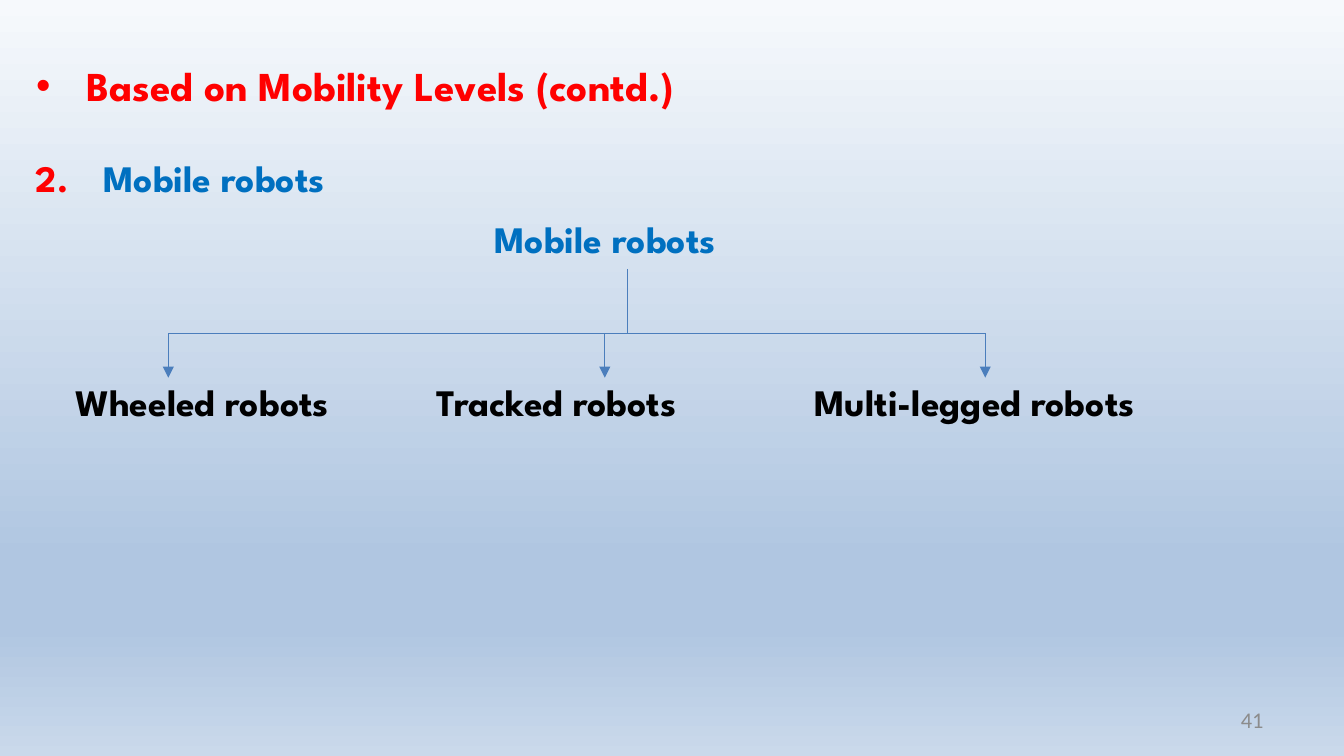
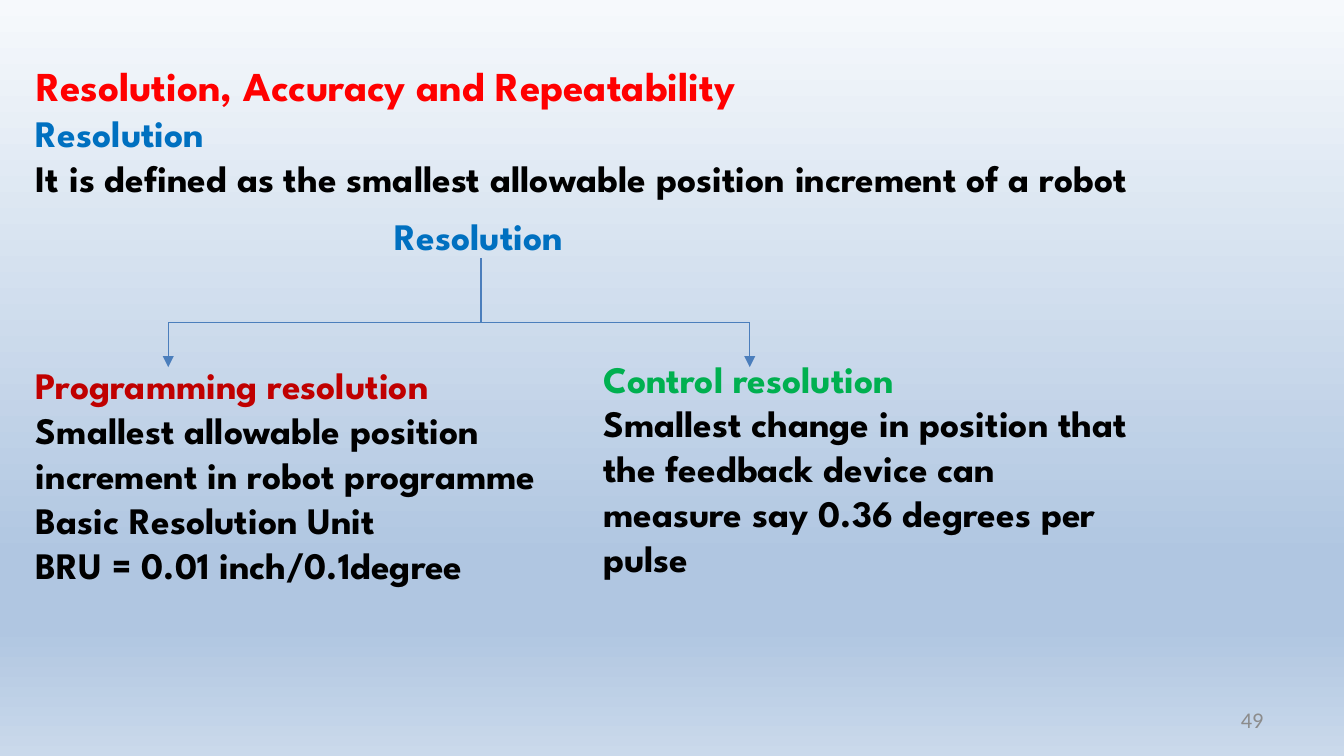
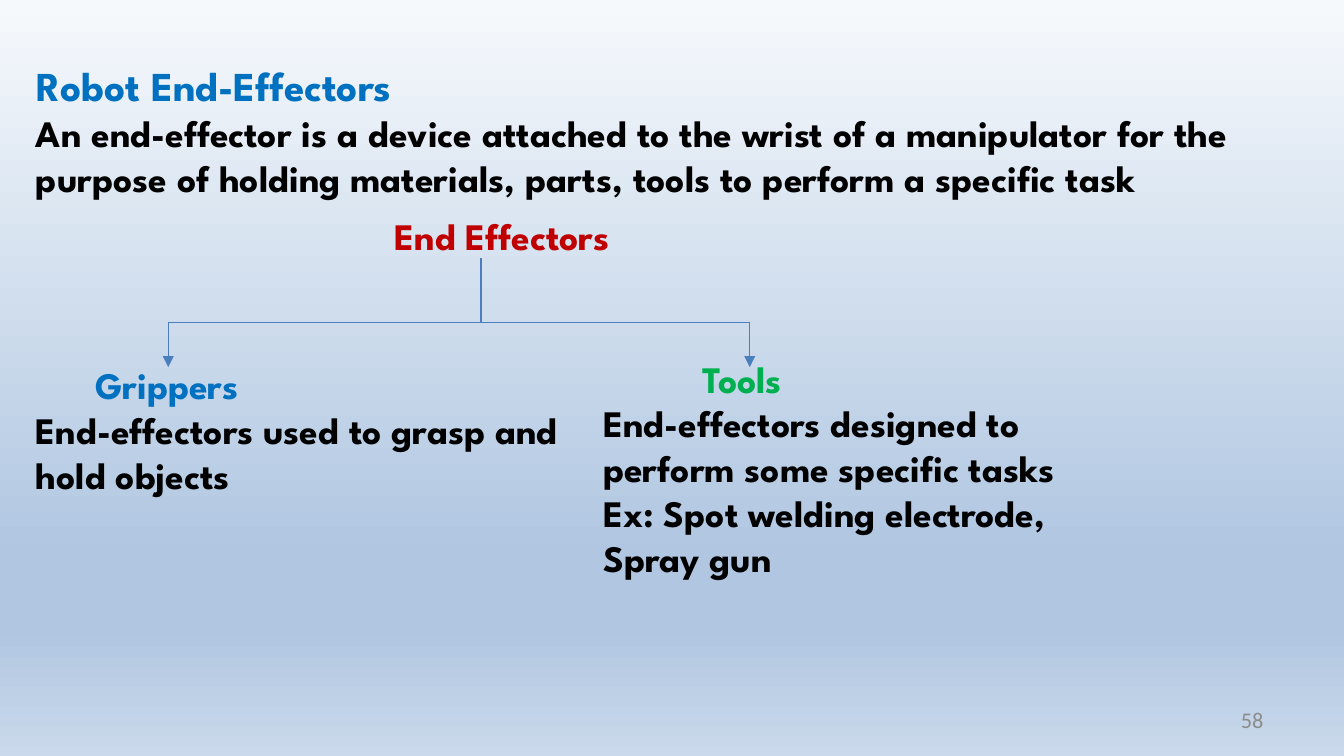
from dataclasses import dataclass

from lxml.etree import SubElement
from pptx import Presentation
from pptx.dml.color import RGBColor
from pptx.enum.shapes import MSO_CONNECTOR
from pptx.enum.text import MSO_ANCHOR, MSO_AUTO_SIZE, PP_ALIGN
from pptx.oxml.ns import qn
from pptx.util import Cm, Pt


@dataclass(frozen=True)
class Theme:
    red: str = "FF0000"
    wine: str = "C00000"
    blue: str = "0070C0"
    green: str = "00B050"
    black: str = "000000"
    grey: str = "8C8C8C"
    line: str = "4B7EBC"
    sky: tuple = ((0, "F6F9FC"), (74, "B0C6E1"), (83, "B0C6E1"), (100, "CAD9EB"))
    font: str = "League Spartan"
    plain: str = "Calibri"
    head: int = 22
    body: int = 20
    foot: int = 12
    rule: float = 0.75


class Deck:
    left, wide = 0.43, 24.33
    stem, drop = 1.22, 0.84

    def __init__(self, theme):
        self.theme = theme
        self.show = Presentation()
        self.show.slide_width, self.show.slide_height = Cm(25.4), Cm(14.29)
        self.slide = None
        self.paint()

    # Shared background, set on the master
    def paint(self):
        master = self.show.slide_master
        fill = master.background.fill
        fill.gradient()
        fill.gradient_angle = 270
        stops = master.element.find(".//" + qn("a:gsLst"))
        for stop in list(stops):
            stops.remove(stop)
        for place, tone in self.theme.sky:
            stop = SubElement(stops, qn("a:gs"), pos=str(place * 1000))
            SubElement(stop, qn("a:srgbClr"), val=tone)

    # New slide with its title and page number
    def page(self, title, color, number):
        self.slide = self.show.slides.add_slide(self.show.slide_layouts[5])
        head = self.slide.shapes.title
        head.left, head.top = Cm(self.left), Cm(1.02)
        head.width, head.height = Cm(self.wide), Cm(1.19)
        self.letter(head, [(title, color)], size=self.theme.head)
        foot = self.slide.shapes.add_textbox(Cm(18.2), Cm(13.23), Cm(5.93), Cm(0.76))
        self.letter(foot, [(number, self.theme.grey)], size=self.theme.foot,
                    font=self.theme.plain, bold=False)
        foot.text_frame.vertical_anchor = MSO_ANCHOR.MIDDLE
        foot.text_frame.paragraphs[0].alignment = PP_ALIGN.RIGHT
        return head

    # Fill a shape with (text, color) paragraphs
    def letter(self, shape, lines, size, font=None, bold=True):
        frame = shape.text_frame
        frame.word_wrap = True
        frame.auto_size = MSO_AUTO_SIZE.NONE
        frame.vertical_anchor = MSO_ANCHOR.TOP
        frame.text = "\n".join(text for text, _ in lines)
        for para, (_, color) in zip(frame.paragraphs, lines):
            para.alignment = PP_ALIGN.LEFT
            for run in para.runs:
                run.font.name = font or self.theme.font
                run.font.size = Pt(size)
                run.font.bold = bold
                run.font.color.rgb = RGBColor.from_string(color)

    def text(self, x, y, width, lines):
        box = self.slide.shapes.add_textbox(Cm(x), Cm(y), Cm(width), Cm(0.25 + 0.85 * len(lines)))
        self.letter(box, lines, self.theme.body)
        return box

    # Indent the first paragraph, with hanging space for a mark if given
    def indent(self, shape, depth, mark=None, start=None):
        props = shape.text_frame.paragraphs[0]._p.get_or_add_pPr()
        props.set("marL", str(Cm(depth)))
        if mark is None and start is None:
            return
        props.set("indent", str(-Cm(depth)))
        tint = SubElement(props, qn("a:buClr"))
        SubElement(tint, qn("a:srgbClr"), val=self.theme.red)
        if mark:
            SubElement(props, qn("a:buFont"), typeface="Arial")
            SubElement(props, qn("a:buChar"), char=mark)
        else:
            SubElement(props, qn("a:buFont"), typeface=self.theme.font)
            SubElement(props, qn("a:buAutoNum"), type="arabicPeriod", startAt=str(start))

    def line(self, x1, y1, x2, y2, arrow=False):
        link = self.slide.shapes.add_connector(
            MSO_CONNECTOR.STRAIGHT, Cm(x1), Cm(y1), Cm(x2), Cm(y2))
        link.line.color.rgb = RGBColor.from_string(self.theme.line)
        link.line.width = Pt(self.theme.rule)
        props = link.element.spPr
        if arrow:
            SubElement(props.get_or_add_ln(), qn("a:tailEnd"), type="triangle")
        SubElement(props, qn("a:effectLst"))

    # Root label, stem, bar and one arrow for each branch
    def tree(self, label, color, x, y, stem, bar, ends):
        self.text(x, y, 5.61, [(label, color)])
        self.line(ends[0], bar, ends[-1], bar)
        self.line(stem, bar - self.stem, stem, bar)
        for end in ends:
            self.line(end, bar, end, bar + self.drop, arrow=True)

    # Two branches, each a text column
    def fork(self, label, color, first, second):
        self.tree(label, color, 7.21, 3.91, 9.09, 6.1, (3.18, 14.17))
        return (self.text(self.left, 6.73, 10.59, first),
                self.text(11.15, 6.6, 10.59, second))


def main():
    look = Theme()
    deck = Deck(look)

    # Mobile robots
    head = deck.page("Based on Mobility Levels (contd.)", look.red, "41")
    deck.indent(head, 0.95, mark="•")
    item = deck.text(deck.left, 2.8, deck.wide, [("Mobile robots", look.blue)])
    deck.indent(item, 1.27, start=2)
    deck.tree("Mobile robots", look.blue, 9.09, 3.96, 11.86, 6.3, (3.18, 11.43, 18.62))
    kinds = ("Wheeled robots", "Tracked robots", "Multi-legged robots")
    for kind, x in zip(kinds, (1.17, 8, 15.14)):
        deck.text(x, 7.04, 6.8, [(kind, look.black)])

    # Resolution
    deck.page("Resolution, Accuracy and Repeatability", look.red, "49")
    deck.text(deck.left, 1.96, deck.wide, [
        ("Resolution", look.blue),
        ("It is defined as the smallest allowable position increment of a robot", look.black)])
    deck.fork(
        "Resolution", look.blue,
        [("Programming resolution", look.wine),
         ("Smallest allowable position increment in robot programme", look.black),
         ("Basic Resolution Unit", look.black),
         ("BRU = 0.01 inch/0.1degree", look.black)],
        [("Control resolution", look.green),
         ("Smallest change in position that the feedback device can measure "
          "say 0.36 degrees per pulse", look.black)])

    # End effectors
    deck.page("Robot End-Effectors", look.blue, "58")
    deck.text(deck.left, 1.96, deck.wide, [
        ("An end-effector is a device attached to the wrist of a manipulator for the "
         "purpose of holding materials, parts, tools to perform a specific task", look.black)])
    grips, tools = deck.fork(
        "End Effectors", look.wine,
        [("Grippers", look.blue),
         ("End-effectors used to grasp and hold objects", look.black)],
        [("Tools", look.green),
         ("End-effectors designed to perform some specific tasks", look.black),
         ("Ex: Spot welding electrode, Spray gun", look.black)])
    deck.indent(grips, 1.12)
    deck.indent(tools, 1.87)

    deck.show.save("out.pptx")


if __name__ == "__main__":
    main()
